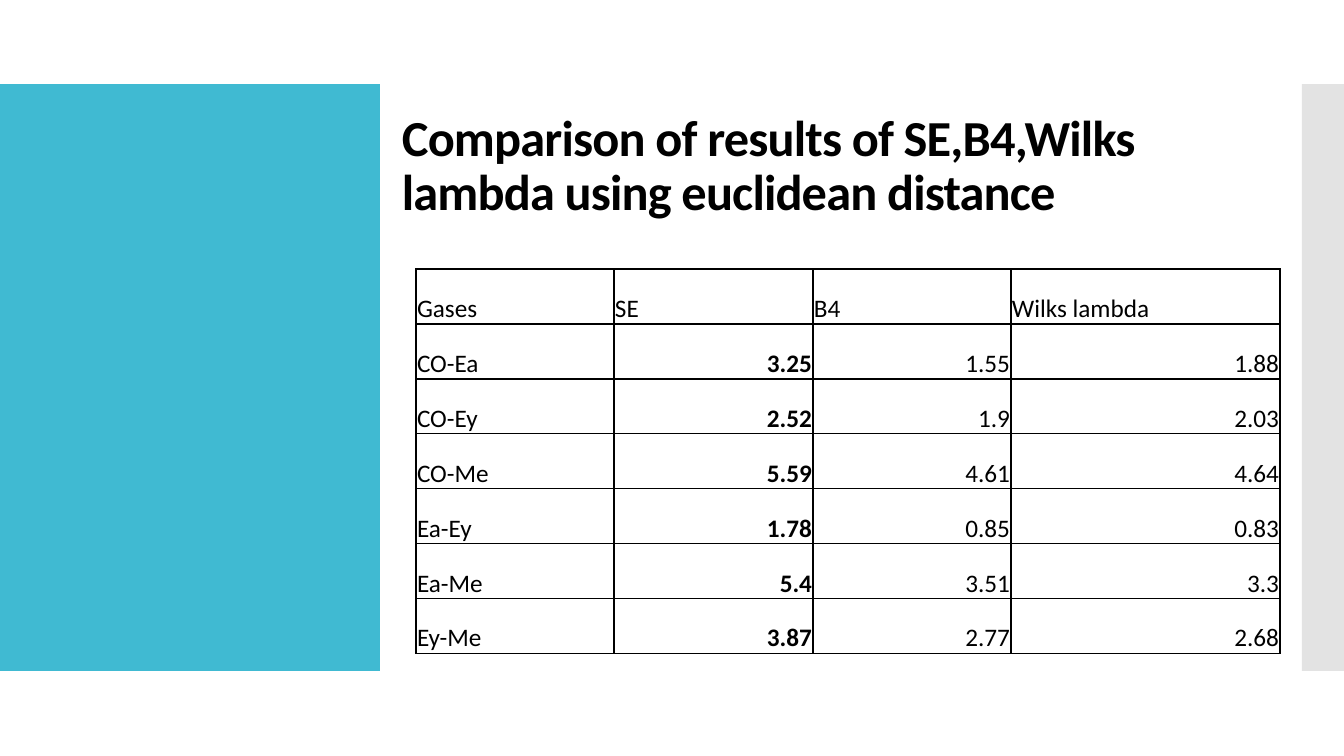
"""Build the slide comparing SE, B4 and Wilks lambda for gas pairs."""
from lxml.etree import SubElement
from pptx import Presentation
from pptx.dml.color import RGBColor
from pptx.enum.shapes import MSO_SHAPE as Preset
from pptx.enum.text import MSO_ANCHOR as Anchor, PP_ALIGN as Align
from pptx.oxml import parse_xml
from pptx.oxml.ns import nsdecls, qn
from pptx.util import Pt

TITLE = "Comparison of results of SE,B4,Wilks lambda using euclidean distance"
HEADER = ("Gases", "SE", "B4", "Wilks lambda")
RESULTS = [
    ("CO-Ea", "3.25", "1.55", "1.88"),
    ("CO-Ey", "2.52", "1.9", "2.03"),
    ("CO-Me", "5.59", "4.61", "4.64"),
    ("Ea-Ey", "1.78", "0.85", "0.83"),
    ("Ea-Me", "5.4", "3.51", "3.3"),
    ("Ey-Me", "3.87", "2.77", "2.68"),
]
COLORS = {"accent": "40BAD2", "edge": "C8C8C8", "text": "000000",
          "border": "000000", "cell": "FFFFFF"}
FONT = "Calibri"
SLIDE_SIZE = (1344, 756)
BAND_TOP, BAND_HEIGHT = 84, 587
BANDS = [(0, 380, "accent", 100), (1302, 42, "edge", 50)]
TITLE_BOX = (392, 113, 807, 110)
TABLE_LEFT, TABLE_TOP, ROW_HEIGHT = 416, 269, 55
COLUMN_WIDTHS = (198, 199, 198, 269)
EMU_PER_PX = 914400 / 100.8


def px(length):
    return round(length * EMU_PER_PX)


def color(name):
    return RGBColor.from_string(COLORS[name])


def add_run(paragraph, text, size, bold=False):
    run = paragraph.add_run()
    run.text = text
    run.font.name = FONT
    run.font.size = Pt(size)
    run.font.bold = bold
    run.font.color.rgb = color("text")
    return run


def add_band(slide, left, width, fill, opacity):
    band = slide.shapes.add_shape(
        Preset.RECTANGLE, px(left), px(BAND_TOP), px(width), px(BAND_HEIGHT))
    band.shadow.inherit = False
    band.line.fill.background()
    band.fill.solid()
    band.fill.fore_color.rgb = color(fill)
    if opacity < 100:
        tint = band.fill._xPr.find(qn("a:solidFill"))[0]
        SubElement(tint, qn("a:alpha"), val=str(opacity * 1000))


def add_title(slide):
    frame = slide.shapes.add_textbox(*map(px, TITLE_BOX)).text_frame
    frame.word_wrap = True
    frame.margin_top = frame.margin_bottom = 0
    paragraph = frame.paragraphs[0]
    paragraph.line_spacing = 0.9
    run = add_run(paragraph, TITLE, 36, bold=True)
    run.font._element.set("spc", "-60")


def add_borders(cell):
    properties = cell._tc.get_or_add_tcPr()
    for position, side in enumerate(("lnL", "lnR", "lnT", "lnB")):
        properties.insert(position, parse_xml(
            f'<a:{side} {nsdecls("a")} w="{Pt(1)}"><a:solidFill>'
            f'<a:srgbClr val="{COLORS["border"]}"/></a:solidFill></a:{side}>'))


def fill_cell(cell, text, is_number, bold):
    cell.fill.solid()
    cell.fill.fore_color.rgb = color("cell")
    cell.vertical_anchor = Anchor.BOTTOM
    cell.margin_left = cell.margin_right = cell.margin_top = px(1)
    cell.margin_bottom = 0
    paragraph = cell.text_frame.paragraphs[0]
    paragraph.alignment = Align.RIGHT if is_number else Align.LEFT
    add_run(paragraph, text, 18, bold)
    add_borders(cell)


def add_results(slide):
    rows = [HEADER, *RESULTS]
    table = slide.shapes.add_table(
        len(rows), len(HEADER), px(TABLE_LEFT), px(TABLE_TOP),
        px(sum(COLUMN_WIDTHS)), px(ROW_HEIGHT * len(rows))).table
    for column, width in zip(table.columns, COLUMN_WIDTHS):
        column.width = px(width)
    for row_index, row in enumerate(rows):
        for column_index, text in enumerate(row):
            is_number = row_index > 0 and column_index > 0
            bold = is_number and column_index == HEADER.index("SE")
            fill_cell(table.cell(row_index, column_index), text, is_number, bold)


def main():
    presentation = Presentation()
    presentation.slide_width, presentation.slide_height = map(px, SLIDE_SIZE)
    slide = presentation.slides.add_slide(presentation.slide_layouts[6])
    for band in BANDS:
        add_band(slide, *band)
    add_title(slide)
    add_results(slide)
    presentation.save("out.pptx")


if __name__ == "__main__":
    main()
